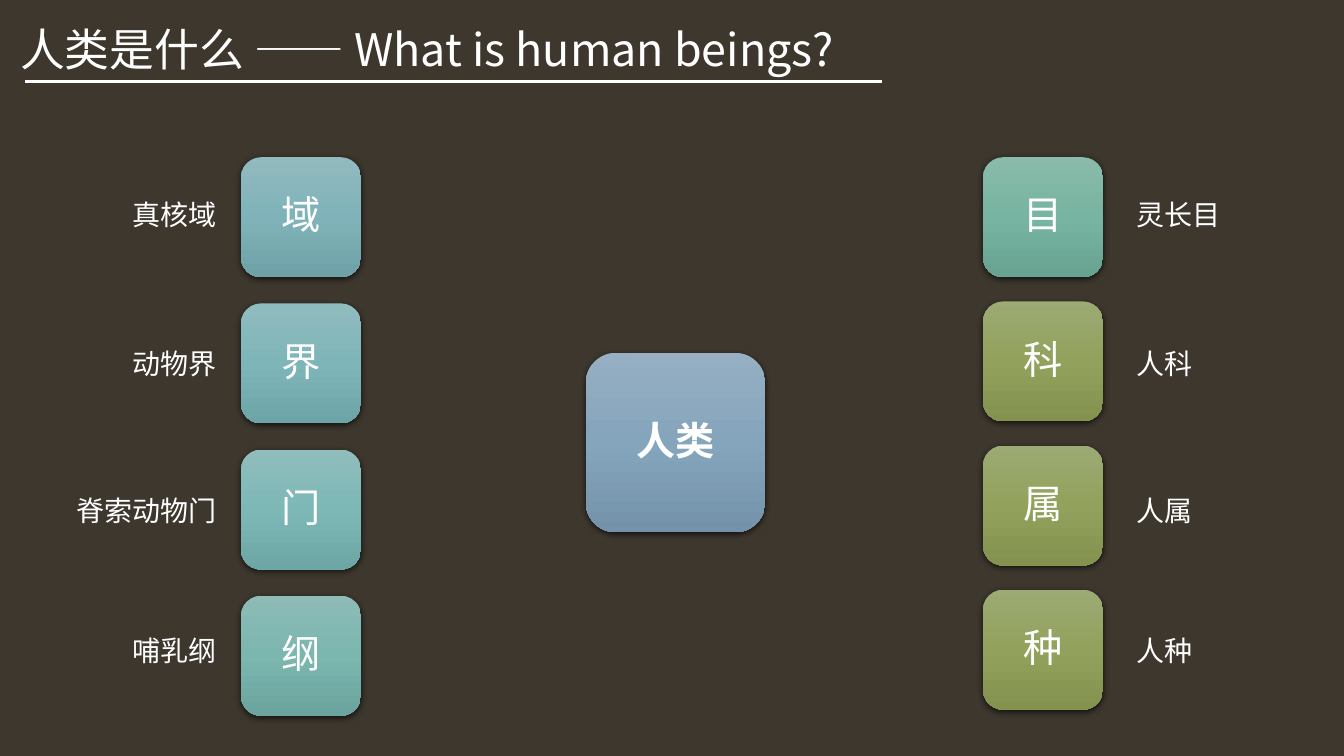
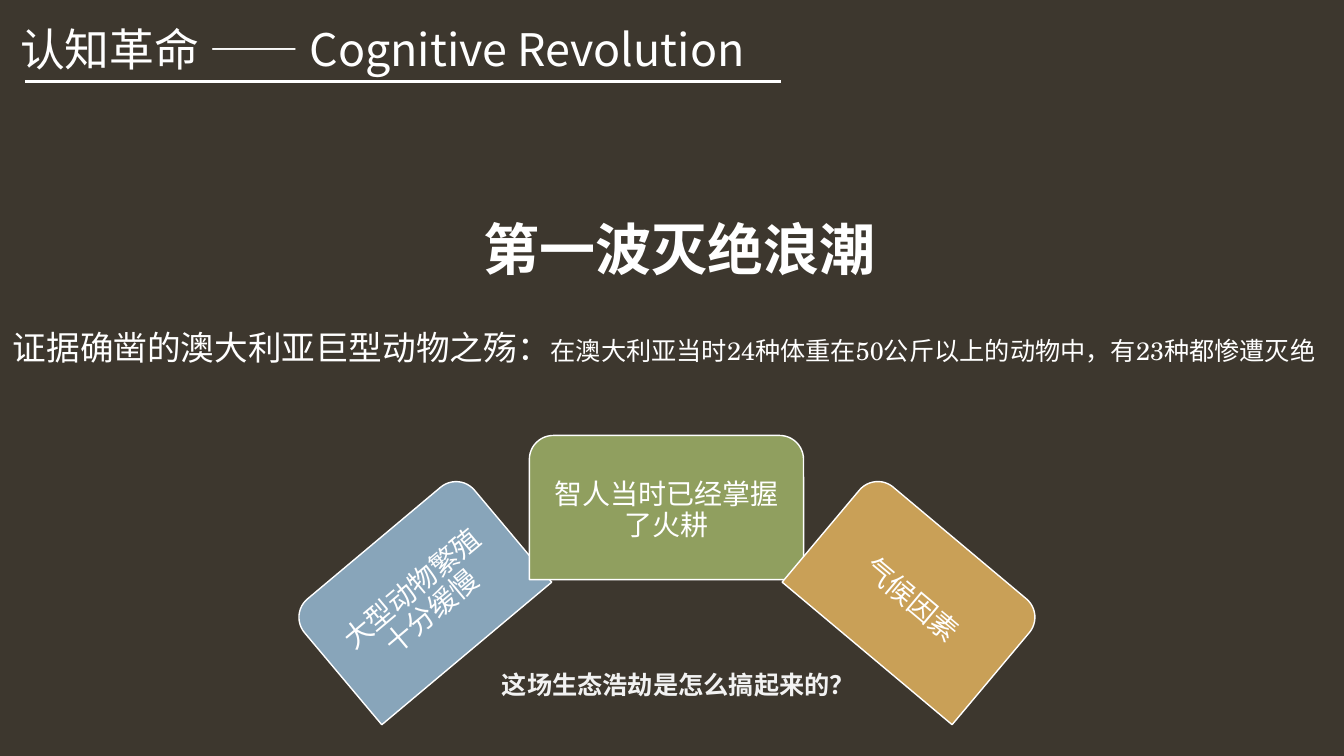
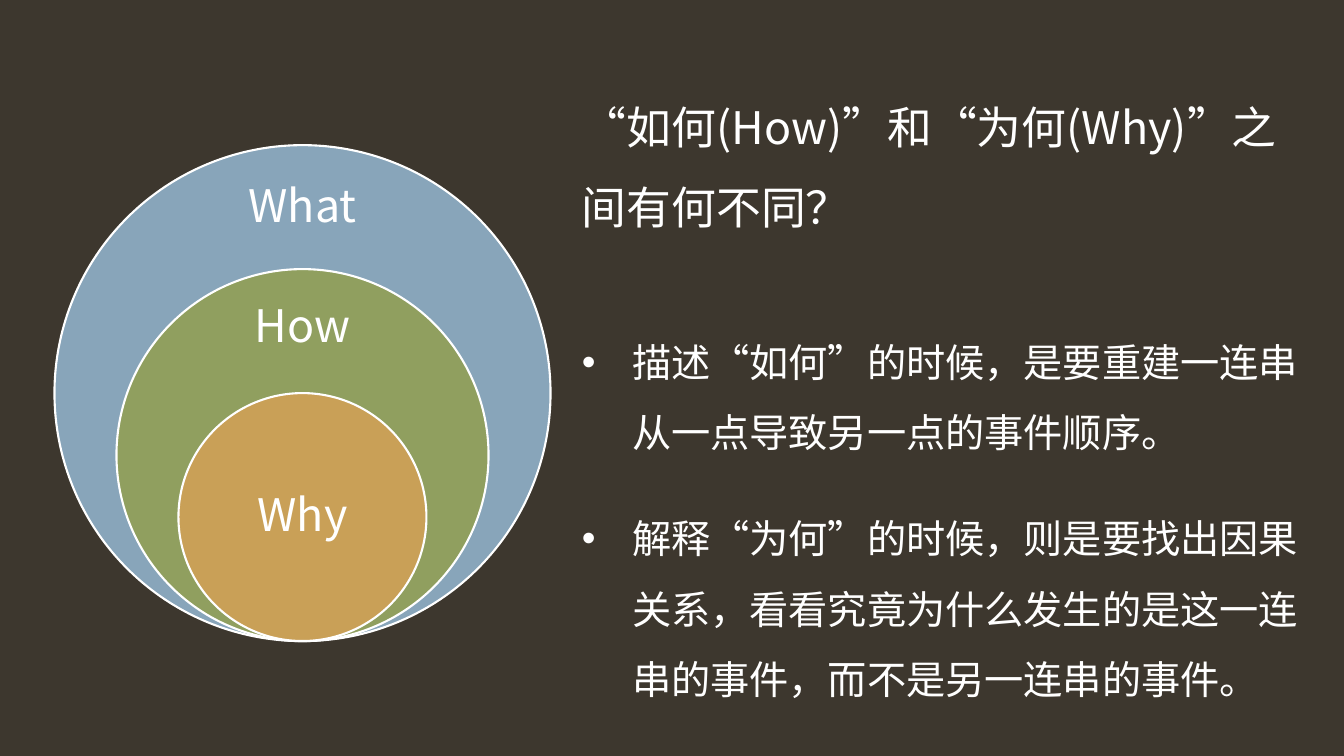
"""Build three slides on humankind, the cognitive revolution, and how versus why."""
import copy
import dataclasses
import typing

import lxml.etree
import pptx
import pptx.dml.color
import pptx.enum.shapes
import pptx.enum.text
import pptx.oxml.ns
import pptx.util

Inches = pptx.util.Inches
Pt = pptx.util.Pt
qn = pptx.oxml.ns.qn
Align = pptx.enum.text.PP_ALIGN
Anchor = pptx.enum.text.MSO_ANCHOR
Shape = pptx.enum.shapes.MSO_SHAPE

HUES = {
    "back": "3D372E", "white": "FFFFFF", "pale": "F2F2F2", "black": "000000",
    "blue": "88A5BA", "green": "909F5F", "gold": "C9A057",
}
SANS = "Noto Sans CJK SC"
SERIF = "TeX Gyre Schola"


@dataclasses.dataclass(frozen=True)
class Box:
    left: float
    top: float
    width: float
    height: float

    def place(self) -> tuple:
        return tuple(Inches(n) for n in (self.left, self.top, self.width, self.height))


@dataclasses.dataclass(frozen=True)
class Style:
    size: float
    face: str = SANS
    hue: str = "white"
    bold: bool = False
    align: typing.Any = Align.LEFT
    space: float = 1.0


@dataclasses.dataclass(frozen=True)
class Rank:
    name: str
    label: str
    grade: tuple


@dataclasses.dataclass(frozen=True)
class Card:
    text: str
    box: Box
    turn: int
    hue: str


@dataclasses.dataclass(frozen=True)
class Ring:
    text: str
    scale: float
    middle: float
    hue: str


def paint(code: str) -> pptx.dml.color.RGBColor:
    return pptx.dml.color.RGBColor.from_string(code)


def dress(run: typing.Any, style: Style) -> None:
    run.font.size = Pt(style.size)
    run.font.bold = style.bold
    run.font.name = style.face
    run.font.color.rgb = paint(HUES[style.hue])
    lxml.etree.SubElement(run.font._element, qn("a:ea"), typeface=SANS)


def format_line(line: typing.Any, style: Style) -> None:
    line.alignment = style.align
    line.line_spacing = style.space
    line.space_before = Pt(0)
    for run in line.runs:
        dress(run, style)


def frame(shape: typing.Any, anchor: typing.Any = Anchor.TOP,
          pad: tuple = (0.1, 0.05)) -> typing.Any:
    area = shape.text_frame
    area.word_wrap = True
    area.auto_size = pptx.enum.text.MSO_AUTO_SIZE.NONE
    area.vertical_anchor = anchor
    area.margin_left = area.margin_right = Inches(pad[0])
    area.margin_top = area.margin_bottom = Inches(pad[1])
    return area


def write(shape: typing.Any, text: str, style: Style,
          anchor: typing.Any = Anchor.TOP, pad: tuple = (0.1, 0.05)) -> None:
    area = frame(shape, anchor, pad)
    area.text = text
    format_line(area.paragraphs[0], style)


def move(shape: typing.Any, box: Box) -> None:
    shape.left, shape.top, shape.width, shape.height = box.place()


def add_text(slide: typing.Any, box: Box, text: str, style: Style, **rest: typing.Any) -> None:
    write(slide.shapes.add_textbox(*box.place()), text, style, **rest)


def add_solid(slide: typing.Any, kind: typing.Any, box: Box, hue: str, edge: float) -> typing.Any:
    shape = slide.shapes.add_shape(kind, *box.place())
    shape.shadow.inherit = False
    shape.fill.solid()
    shape.fill.fore_color.rgb = paint(HUES[hue])
    shape.line.color.rgb = paint(HUES["white"])
    shape.line.width = Pt(edge)
    return shape


def add_tile(slide: typing.Any, box: Box, text: str, grade: tuple, bold: bool = False) -> None:
    tile = slide.shapes.add_shape(Shape.ROUNDED_RECTANGLE, *box.place())
    tile.line.fill.background()
    tile.fill.gradient()
    tile.fill.gradient_angle = 270
    props = tile._element.spPr
    stops = props.find(".//" + qn("a:gsLst"))
    stops.insert(1, copy.deepcopy(stops[0]))
    for stop, code, spot in zip(tile.fill.gradient_stops, grade, (0, 0.5, 1)):
        stop.color.rgb = paint(code)
        stop.position = spot
    tile.shadow.inherit = False
    shade = lxml.etree.SubElement(
        props.find(qn("a:effectLst")), qn("a:outerShdw"), blurRad=str(Pt(4.5)),
        dist=str(Pt(1.5)), dir="5400000", algn="ctr", rotWithShape="0")
    tone = lxml.etree.SubElement(shade, qn("a:srgbClr"), val=HUES["black"])
    lxml.etree.SubElement(tone, qn("a:alpha"), val="63000")
    style = Style(28, bold=bold, align=Align.CENTER, space=0.9)
    write(tile, text, style, Anchor.MIDDLE, (0.08, 0.08))


def add_head(deck: typing.Any, text: str, end: float) -> typing.Any:
    slide = deck.slides.add_slide(deck.slide_layouts[5])
    move(slide.shapes.title, Box(0.1, 0.17, 8.84, 0.64))
    write(slide.shapes.title, text, Style(32))
    rule = slide.shapes.add_connector(
        pptx.enum.shapes.MSO_CONNECTOR.STRAIGHT,
        Inches(0.25), Inches(0.81), Inches(end), Inches(0.81))
    rule.line.color.rgb = paint(HUES["white"])
    rule.line.width = Pt(2.25)
    lxml.etree.SubElement(rule._element.spPr, qn("a:effectLst"))
    return slide


def build_ranks(deck: typing.Any) -> None:
    slide = add_head(deck, "人类是什么 —— What is human beings?", 8.75)
    olive = ("9CAA73", "92A25C", "83934F")
    left = (
        Rank("域", "真核域", ("91BABE", "7FB3B9", "6EA2A7")),
        Rank("界", "动物界", ("90BCBE", "7EB5B9", "6DA4A7")),
        Rank("门", "脊索动物门", ("8FBDBC", "7DB8B7", "6CA6A5")),
        Rank("纲", "哺乳纲", ("8DBBB6", "7BB6AF", "6BA49E")),
    )
    right = (
        Rank("目", "灵长目", ("8ABAAA", "77B4A1", "67A390")),
        Rank("科", "人科", olive),
        Rank("属", "人属", olive),
        Rank("种", "人种", olive),
    )
    add_tile(slide, Box(5.81, 3.5, 1.78, 1.78), "人类", ("96AFC2", "85A5BC", "7493AA"), True)
    sides = ((left, 2.39, 1.45, 0.5, Align.RIGHT), (right, 9.75, 1.43, 11.17, Align.LEFT))
    for ranks, start, step, edge, align in sides:
        for row, (rank, top) in enumerate(zip(ranks, (1.91, 3.39, 4.85, 6.24))):
            add_tile(slide, Box(start, 1.56 + row * step, 1.19, 1.19), rank.name, rank.grade)
            add_text(slide, Box(edge, top, 1.75, 0.44), rank.label, Style(20, align=align))


def build_wave(deck: typing.Any) -> None:
    slide = add_head(deck, "认知革命 —— Cognitive Revolution", 7.75)
    add_text(slide, Box(4.7, 2.08, 4.14, 0.77), "第一波灭绝浪潮", Style(40, SERIF, bold=True))
    proof = frame(slide.shapes.add_textbox(*Box(0.03, 3.19, 13.17, 0.8).place()))
    parts = (
        ("证据确凿的澳大利亚巨型动物之殇：", 24),
        ("在澳大利亚当时24种体重在50公斤以上的动物中，有23种都惨遭灭绝", 18),
    )
    for text, size in parts:
        run = proof.paragraphs[0].add_run()
        run.text = text
        dress(run, Style(size, SERIF))
    cards = (
        Card("大型动物繁殖十分缓慢", Box(3.07, 5.22, 2.2, 1.43), 320, "blue"),
        Card("智人当时已经掌握了火耕", Box(5.25, 4.32, 2.72, 1.43), 0, "green"),
        Card("气候因素", Box(7.96, 5.22, 2.2, 1.43), 40, "gold"),
    )
    for card in cards:
        shape = add_solid(slide, Shape.ROUND_2_SAME_RECTANGLE, card.box, card.hue, 1)
        shape.rotation = card.turn
        style = Style(20, SERIF, align=Align.CENTER, space=0.9)
        write(shape, card.text, style, Anchor.MIDDLE, (0.08, 0.03))
    add_text(slide, Box(4.88, 6.59, 3.79, 0.4), "这场生态浩劫是怎么搞起来的？",
             Style(18, SERIF, "pale", True))


def build_rings(deck: typing.Any) -> None:
    slide = deck.slides.add_slide(deck.slide_layouts[1])
    title, body = slide.shapes.title, slide.placeholders[1]
    move(title, Box(5.67, 0.67, 7.33, 1.75))
    write(title, "“如何(How)”和“为何(Why)”之间有何不同？", Style(32, space=1.5))
    move(body, Box(5.67, 3.07, 7.33, 4.06))
    area = frame(body)
    area.text = "\n".join((
        "描述“如何”的时候，是要重建一连串从一点导致另一点的事件顺序。",
        "解释“为何”的时候，则是要找出因果关系，看看究竟为什么发生的是这一连串的事件，而不是另一连串的事件。",
    ))
    for line in area.paragraphs:
        props = line._p.get_or_add_pPr()
        props.set("marL", str(Inches(0.5)))
        props.set("indent", str(-Inches(0.5)))
        lxml.etree.SubElement(props, qn("a:buFont"), typeface="Arial")
        lxml.etree.SubElement(props, qn("a:buChar"), char="•")
        format_line(line, Style(28, space=1.5))
    area.paragraphs[1].space_before = Pt(25)
    rings = (
        Ring("What", 1, 2.06, "blue"),
        Ring("How", 0.75, 3.25, "green"),
        Ring("Why", 0.5, 5.13, "gold"),
    )
    for ring in rings:
        size = 4.92 * ring.scale
        add_solid(slide, Shape.OVAL, Box(3 - size / 2, 6.36 - size, size, size), ring.hue, 1.5)
        add_text(slide, Box(2.14, ring.middle - 0.35, 1.72, 0.7), ring.text,
                 Style(32, align=Align.CENTER, space=0.9), anchor=Anchor.MIDDLE, pad=(0, 0))


def main() -> None:
    deck = pptx.Presentation()
    deck.slide_width, deck.slide_height = Inches(13.33), Inches(7.5)
    fill = deck.slide_master.background.fill
    fill.solid()
    fill.fore_color.rgb = paint(HUES["back"])
    build_ranks(deck)
    build_wave(deck)
    build_rings(deck)
    deck.save("out.pptx")


if __name__ == "__main__":
    main()
